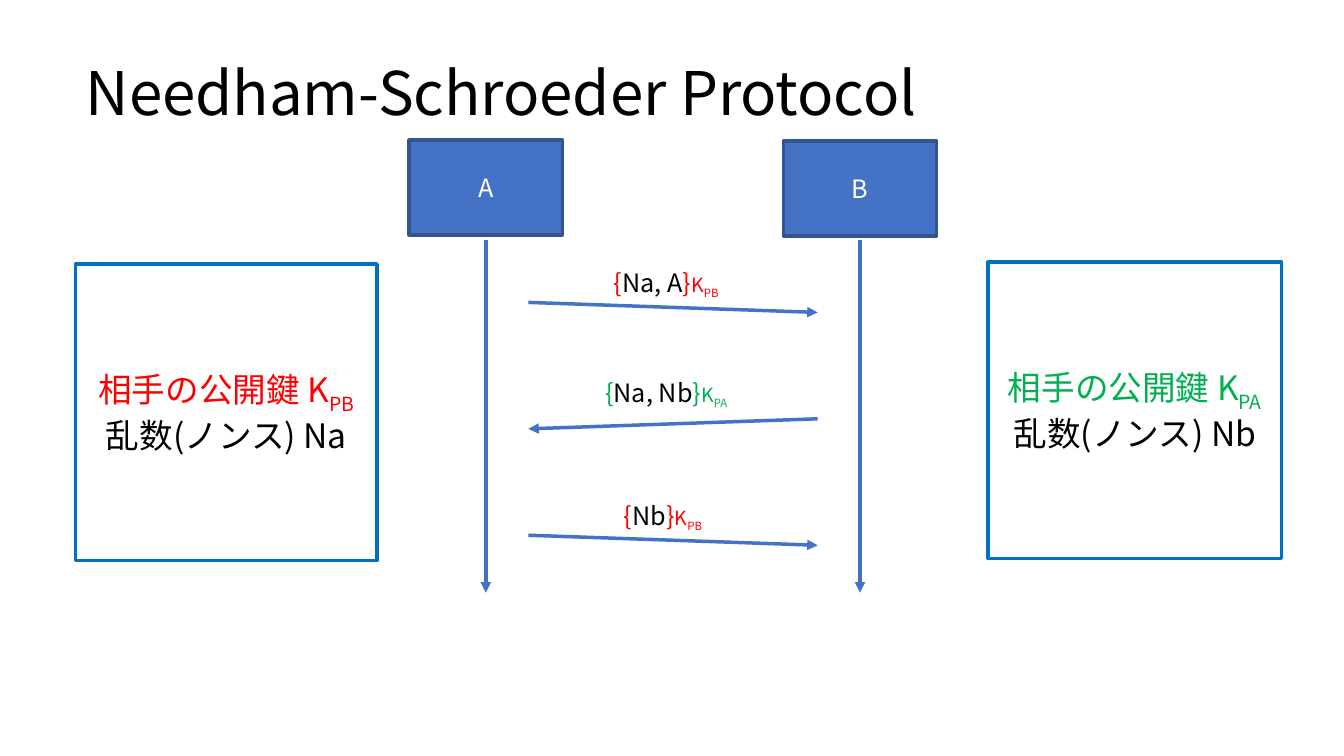
from dataclasses import dataclass

from lxml.etree import SubElement
from pptx import Presentation
from pptx.dml.color import RGBColor as Rgb
from pptx.enum.shapes import MSO_CONNECTOR as Connector, MSO_SHAPE as Shape
from pptx.enum.text import MSO_ANCHOR as Anchor, MSO_AUTO_SIZE as AutoSize, PP_ALIGN as Align
from pptx.oxml.ns import qn
from pptx.util import Inches, Pt

WIDTH, HEIGHT = Inches(13.33), Inches(7.5)


@dataclass(frozen=True)
class Theme:
    font: str = "Noto Sans CJK JP"
    black: str = "000000"
    white: str = "FFFFFF"
    blue: str = "4472C4"
    dark_blue: str = "325491"
    frame: str = "0070C0"
    key_b: str = "FF0000"
    key_a: str = "00B050"
    title_size: float = 42.9
    note_size: int = 24
    body_size: int = 18
    key_size: int = 14
    line_width: float = 2.5


THEME = Theme()


# Lengths are percentages of the slide's width and height
def across(share):
    return round(WIDTH * share / 100)


def down(share):
    return round(HEIGHT * share / 100)


def area(left, top, width, height):
    return across(left), down(top), across(width), down(height)


# Text: a span is (words, colour, size or None, is subscript)
def write(para, spans, size, align=Align.LEFT):
    para.alignment = align
    para.font.size = Pt(size)
    para.font.name = THEME.font
    defaults = para._p.pPr.find(qn("a:defRPr"))
    SubElement(defaults, qn("a:ea"), typeface=THEME.font)
    for words, colour, own_size, subscript in spans:
        span = para.add_run()
        span.text = words
        span.font.color.rgb = Rgb.from_string(colour)
        if own_size:
            span.font.size = Pt(own_size)
        if subscript:
            span._r.get_or_add_rPr().set("baseline", "-25000")


def plain(words, colour):
    return words, colour, None, False


def key_spans(words, owner, colour, size=None):
    return [(words + "K", colour, size, False), ("P" + owner, colour, size, True)]


# Kinds of element
def add_title(page, words):
    title = page.shapes.title
    title.left, title.top, title.width, title.height = area(5.63, 1.47, 83.27, 16.13)
    frame = title.text_frame
    frame.auto_size = AutoSize.NONE
    frame.vertical_anchor = Anchor.BOTTOM
    para = frame.paragraphs[0]
    para.line_spacing = 0.9
    write(para, [plain(words, THEME.black)], THEME.title_size)


def add_box(page, place, fill, line, rows, size):
    box = page.shapes.add_shape(Shape.RECTANGLE, *area(*place))
    box.shadow.inherit = False
    box.fill.solid()
    box.fill.fore_color.rgb = Rgb.from_string(fill)
    box.line.color.rgb = Rgb.from_string(line)
    box.line.width = Pt(THEME.line_width)
    frame = box.text_frame
    frame.word_wrap = True
    frame.vertical_anchor = Anchor.MIDDLE
    for index, spans in enumerate(rows):
        para = frame.add_paragraph() if index else frame.paragraphs[0]
        write(para, spans, size, Align.CENTER)


def add_arrow(page, start, end):
    arrow = page.shapes.add_connector(
        Connector.STRAIGHT, across(start[0]), down(start[1]), across(end[0]), down(end[1]))
    arrow.line.color.rgb = Rgb.from_string(THEME.blue)
    arrow.line.width = Pt(THEME.line_width)
    SubElement(arrow.line._get_or_add_ln(), qn("a:tailEnd"), type="triangle")
    SubElement(arrow._element.spPr, qn("a:effectLst"))


def add_participant(page, name, centre, top):
    width = 11.4
    add_box(page, (centre - width / 2, top, width, 12.53), THEME.blue, THEME.dark_blue,
            [[plain(name, THEME.white)]], THEME.body_size)
    add_arrow(page, (centre, 31.73), (centre, 78.4))


def add_knowledge(page, place, owner, colour, nonce):
    rows = [key_spans("相手の公開鍵 ", owner, colour),
            [plain(f"乱数(ノンス) {nonce}", THEME.black)]]
    add_box(page, place, THEME.white, THEME.frame, rows, THEME.note_size)


def add_message(page, words, owner, colour, top, width):
    label = page.shapes.add_textbox(*area(50.07 - width / 2, top, width, 5.33))
    label.text_frame.word_wrap = True
    spans = [plain("{", colour), plain(words, THEME.black), plain("}", colour)]
    spans += key_spans("", owner, colour, THEME.key_size)
    write(label.text_frame.paragraphs[0], spans, THEME.body_size)


def main():
    deck = Presentation()
    deck.slide_width, deck.slide_height = WIDTH, HEIGHT
    page = deck.slides.add_slide(deck.slide_layouts[5])
    add_title(page, "Needham-Schroeder Protocol")

    # Participants with their lifelines
    add_participant(page, "A", 36.15, 18.53)
    add_participant(page, "B", 63.99, 18.67)

    # Messages, evenly spaced and alternating in direction
    messages = [("Na, A", "B", THEME.key_b, 34.67, 10.28),
                ("Na, Nb", "A", THEME.key_a, 49.2, 11.55),
                ("Nb", "B", THEME.key_b, 65.47, 8.78)]
    left, right = 39.31, 60.84
    for step, message in enumerate(messages):
        start, end = (right, left) if step % 2 else (left, right)
        level = 40 + 15.4 * step
        add_arrow(page, (start, level), (end, level + 1.33))
        add_message(page, *message)

    # What each side knows
    add_knowledge(page, (5.63, 34.93, 22.43, 39.2), "B", THEME.key_b, "Na")
    add_knowledge(page, (73.52, 34.67, 21.83, 39.2), "A", THEME.key_a, "Nb")

    deck.save("out.pptx")


main()
